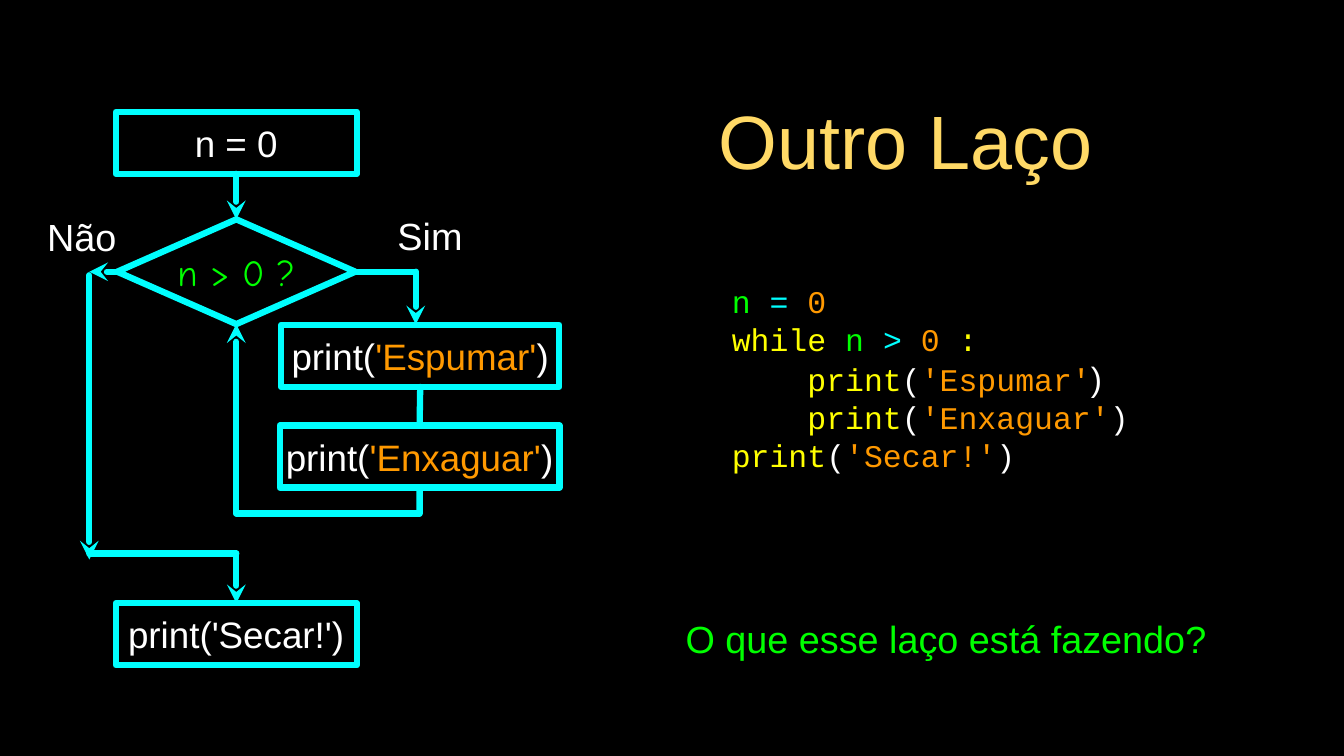
from typing import NamedTuple

import pptx
import pptx.util
import pptx.dml.color
import pptx.enum.shapes
import pptx.enum.text
import pptx.oxml
import pptx.oxml.ns

Cm = pptx.util.Cm
Pt = pptx.util.Pt
RGBColor = pptx.dml.color.RGBColor
Shape = pptx.enum.shapes.MSO_SHAPE
Align = pptx.enum.text.PP_ALIGN

BLACK = RGBColor(0x00, 0x00, 0x00)
WHITE = RGBColor(0xFF, 0xFF, 0xFF)
CYAN = RGBColor(0x00, 0xFF, 0xFF)
GREEN = RGBColor(0x00, 0xFF, 0x00)
ORANGE = RGBColor(0xFF, 0x99, 0x00)
YELLOW = RGBColor(0xFF, 0xFF, 0x00)
GOLD = RGBColor(0xFF, 0xD9, 0x66)

TOP, LEFT, BOTTOM, RIGHT = range(4)


class Run(NamedTuple):
    text: str
    color: RGBColor = WHITE
    font: str | None = None
    size: float | None = None


class Area(NamedTuple):
    """A rectangle in centimetres."""
    x: float
    y: float
    w: float
    h: float


class Node(NamedTuple):
    key: str
    area: Area
    runs: list[Run]
    kind: Shape = Shape.RECTANGLE
    font: str = "Arial"


class Site(NamedTuple):
    """A side of a node."""
    node: str
    side: int


class Point(NamedTuple):
    x: float
    y: float


class Link(NamedTuple):
    start: Site | Point
    end: Site | Point
    arrow: bool = False


def write(shape, lines: list[list[Run]], *, size: float, font: str = "Arial",
          align=Align.CENTER, inset: float = 0) -> None:
    frame = shape.text_frame
    frame.word_wrap = True
    frame.vertical_anchor = pptx.enum.text.MSO_ANCHOR.MIDDLE
    frame.margin_left = frame.margin_right = Cm(inset)
    frame.margin_top = frame.margin_bottom = Cm(inset)
    for i, line in enumerate(lines):
        para = frame.add_paragraph() if i else frame.paragraphs[0]
        para.alignment = align
        for part in line:
            run = para.add_run()
            run.text = part.text
            run.font.name = part.font or font
            run.font.size = Pt(part.size or size)
            run.font.color.rgb = part.color


def stroke(shape, arrow: bool = False) -> None:
    """Give a round cyan line, with an arrowhead at its end if asked."""
    shape.line.color.rgb = CYAN
    shape.line.width = Pt(6)
    ln = shape.line._get_or_add_ln()
    ln.set("cap", "rnd")
    ns = pptx.oxml.ns.nsdecls("a")
    ln.append(pptx.oxml.parse_xml(f"<a:round {ns}/>"))
    if arrow:
        ln.append(pptx.oxml.parse_xml(f'<a:tailEnd {ns} type="stealth"/>'))


def add_label(slide, area: Area, lines: list[list[Run]], **style) -> None:
    write(slide.shapes.add_textbox(*map(Cm, area)), lines, **style)


def add_node(slide, node: Node):
    shape = slide.shapes.add_shape(node.kind, *map(Cm, node.area))
    shape.shadow.inherit = False
    shape.fill.background()
    stroke(shape)
    write(shape, [node.runs], size=35, font=node.font)
    return shape


def add_link(slide, link: Link, shapes: dict) -> None:
    ends = [Point(0, 0) if isinstance(end, Site) else end
            for end in (link.start, link.end)]
    line = slide.shapes.add_connector(
        pptx.enum.shapes.MSO_CONNECTOR.STRAIGHT,
        *(Cm(v) for end in ends for v in end))
    if isinstance(link.start, Site):
        line.begin_connect(shapes[link.start.node], link.start.side)
    if isinstance(link.end, Site):
        line.end_connect(shapes[link.end.node], link.end.side)
    stroke(line, link.arrow)
    line._element.spPr.append(pptx.oxml.parse_xml(
        f"<a:effectLst {pptx.oxml.ns.nsdecls('a')}/>"))


def call(text: str, name: RGBColor = WHITE, indent: str = "") -> list[Run]:
    """Runs of a print call with its string in orange."""
    return [Run(indent + "print", name), Run("("),
            Run(f"'{text}'", ORANGE), Run(")")]


MID = 7.94    # axis of the main column
LOOP = 14.1   # axis of the loop body
ENTRY = 13.97  # axis of the way into the loop
EXIT = 3.0    # axis of the way out
TEST = 9.13   # height of the test
BACK = 17.25  # height of the way back
JOIN = 18.6   # height where the way out turns
TALL = 2.08


def box(mid: float, y: float, w: float) -> Area:
    return Area(mid - w / 2, y, w, TALL)


NODES = [
    Node("start", box(MID, 3.76, 8.1), [Run("n = 0")]),
    Node("test", Area(MID - 4, TEST - 1.76, 8, 3.52),
         [Run("n > 0 ?", GREEN)], Shape.DIAMOND, "Comic Neue"),
    Node("lather", box(LOOP + 0.02, 10.92, 9.35), call("Espumar")),
    Node("rinse", box(LOOP, 14.3, 9.4), call("Enxaguar")),
    Node("dry", box(MID, 20.27, 8.1), [Run("print('Secar!')")]),
]

LINKS = [
    Link(Site("start", BOTTOM), Site("test", TOP), True),
    Link(Site("test", RIGHT), Point(ENTRY, TEST)),
    Link(Point(ENTRY, TEST), Point(ENTRY, 10.9), True),
    Link(Site("lather", BOTTOM), Site("rinse", TOP)),
    Link(Site("rinse", BOTTOM), Point(LOOP, BACK)),
    Link(Point(LOOP, BACK), Point(MID, BACK)),
    Link(Point(MID, BACK), Site("test", BOTTOM), True),
    Link(Site("test", LEFT), Point(EXIT, TEST), True),
    Link(Point(EXIT, TEST + 0.12), Point(EXIT, JOIN + 0.2), True),
    Link(Point(EXIT, JOIN), Point(MID, JOIN)),
    Link(Point(MID, JOIN), Site("dry", TOP), True),
]

INDENT = " " * 4
CODE = [
    [Run("n ", GREEN), Run("= ", CYAN), Run("0", ORANGE)],
    [Run("while ", YELLOW), Run("n ", GREEN), Run("> ", CYAN),
     Run("0", ORANGE), Run(" :", YELLOW)],
    call("Espumar", YELLOW, INDENT)[:-1] + [Run(")", font="Arial", size=32)],
    call("Enxaguar", YELLOW, INDENT),
    call("Secar!", YELLOW),
]


def main() -> None:
    deck = pptx.Presentation()
    deck.slide_width, deck.slide_height = Cm(45.16), Cm(25.4)
    slide = deck.slides.add_slide(deck.slide_layouts[5])
    slide.background.fill.solid()
    slide.background.fill.fore_color.rgb = BLACK

    title = slide.shapes.title
    title.left, title.top, title.width, title.height = map(
        Cm, Area(18.97, 2.28, 22.94, 4.78))
    write(title, [[Run("Outro Laço", GOLD)]], size=72, inset=0.1)

    add_label(slide, Area(24.59, 8.84, 13.94, 7.7), CODE, size=30,
              font="Courier New", align=Align.LEFT)
    shapes = {node.key: add_node(slide, node) for node in NODES}
    for link in LINKS:
        add_link(slide, link, shapes)
    add_label(slide, Area(1.5, 7, 2.5, 1.88), [[Run("Não")]], size=36)
    add_label(slide, Area(12.95, 7.04, 3, 1.73), [[Run("Sim")]], size=36)
    add_label(slide, Area(22.54, 20.6, 18.5, 1.73),
              [[Run("O que esse laço está fazendo?", GREEN)]], size=36)
    deck.save("out.pptx")


if __name__ == "__main__":
    main()
